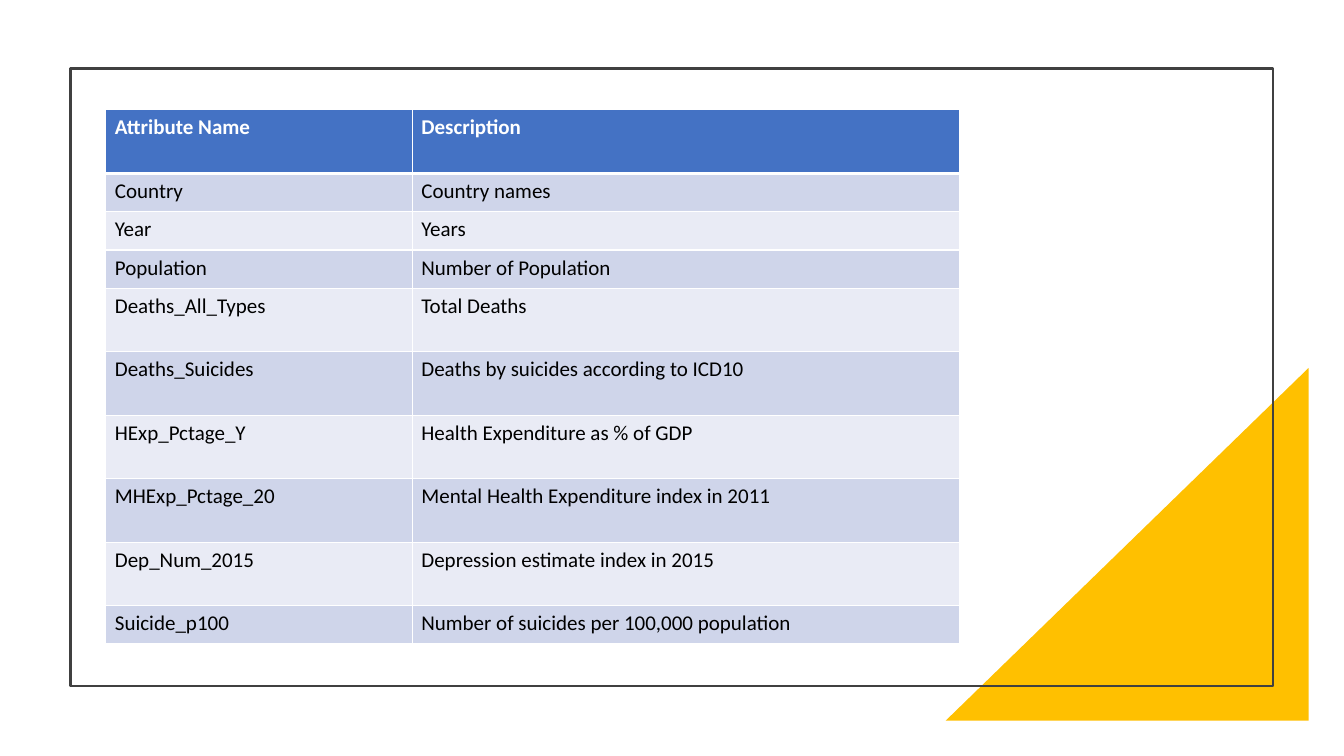
from lxml.etree import SubElement
from pptx import Presentation
from pptx.dml.color import RGBColor
from pptx.enum.shapes import MSO_SHAPE
from pptx.oxml.ns import qn
from pptx.util import Pt

SCALE = 9144
SHORT, TALL = 38, 63
ROWS = [
    ("Attribute Name", "Description", TALL),
    ("Country", "Country names", SHORT),
    ("Year", "Years", SHORT),
    ("Population", "Number of Population", SHORT),
    ("Deaths_All_Types", "Total Deaths", TALL),
    ("Deaths_Suicides", "Deaths by suicides according to ICD10", TALL),
    ("HExp_Pctage_Y", "Health Expenditure as % of GDP", TALL),
    ("MHExp_Pctage_20", "Mental Health Expenditure index in 2011", TALL),
    ("Dep_Num_2015", "Depression estimate index in 2015", TALL),
    ("Suicide_p100", "Number of suicides per 100,000 population", SHORT),
]


def px(size):
    """Turn whole px into EMU."""
    return size * SCALE


def color(code):
    """Turn a hex string into a colour."""
    return RGBColor.from_string(code)


def add_corner(slide, left, top, width, height):
    """Place the yellow triangle with its right angle at lower right."""
    corner = slide.shapes.add_shape(
        MSO_SHAPE.RIGHT_TRIANGLE, px(left), px(top), px(width), px(height))
    corner.shadow.inherit = False
    corner.fill.solid()
    corner.fill.fore_color.rgb = color("FFC000")
    corner.line.fill.background()
    corner._element.spPr.xfrm.set("flipH", "1")


def add_frame(slide, left, top, width, height):
    """Place the thin dark outline."""
    frame = slide.shapes.add_shape(
        MSO_SHAPE.RECTANGLE, px(left), px(top), px(width), px(height))
    frame.shadow.inherit = False
    frame.fill.background()
    frame.line.color.rgb = color("404040")
    frame.line.width = Pt(1.5)


def add_edges(cell, above, below):
    """Draw white borders, with given widths above and below the cell."""
    props = cell._tc.get_or_add_tcPr()
    for side, width in zip("LRTB", (1, 1, above, below)):
        edge = SubElement(props, qn(f"a:ln{side}"), w=str(Pt(width)))
        fill = SubElement(edge, qn("a:solidFill"))
        SubElement(fill, qn("a:srgbClr"), val="FFFFFF")


def fill_cell(cell, text, index):
    """Write and style one cell of the row with this index."""
    head = index == 0
    cell.margin_left = cell.margin_right = px(9)
    cell.margin_top = cell.margin_bottom = px(5)
    add_edges(cell, 3 if index == 1 else 1, 3 if head else 1)
    cell.fill.solid()
    band = "CFD5EA" if index % 2 else "E9EBF5"
    cell.fill.fore_color.rgb = color("4472C4" if head else band)
    cell.text_frame.text = text
    font = cell.text_frame.paragraphs[0].runs[0].font
    font.name = "Calibri"
    font.size = Pt(15)
    font.bold = head
    font.color.rgb = color("FFFFFF" if head else "000000")


def add_fields(slide, left, top, width, height):
    """Place the table of attributes and their descriptions."""
    table = slide.shapes.add_table(
        len(ROWS), 2, px(left), px(top), px(width), px(height)).table
    names = 304
    table.columns[0].width = px(names)
    table.columns[1].width = px(width - names)
    for index, (name, about, tall) in enumerate(ROWS):
        table.rows[index].height = px(tall)
        for col, text in enumerate((name, about)):
            fill_cell(table.cell(index, col), text, index)


def main():
    """Build and save the slide."""
    deck = Presentation()
    deck.slide_width, deck.slide_height = px(1333), px(750)
    slide = deck.slides.add_slide(deck.slide_layouts[6])
    add_corner(slide, 938, 365, 360, 350)
    add_frame(slide, 70, 68, 1193, 613)
    add_fields(slide, 105, 109, 847, sum(row[2] for row in ROWS))
    deck.save("out.pptx")


if __name__ == "__main__":
    main()
